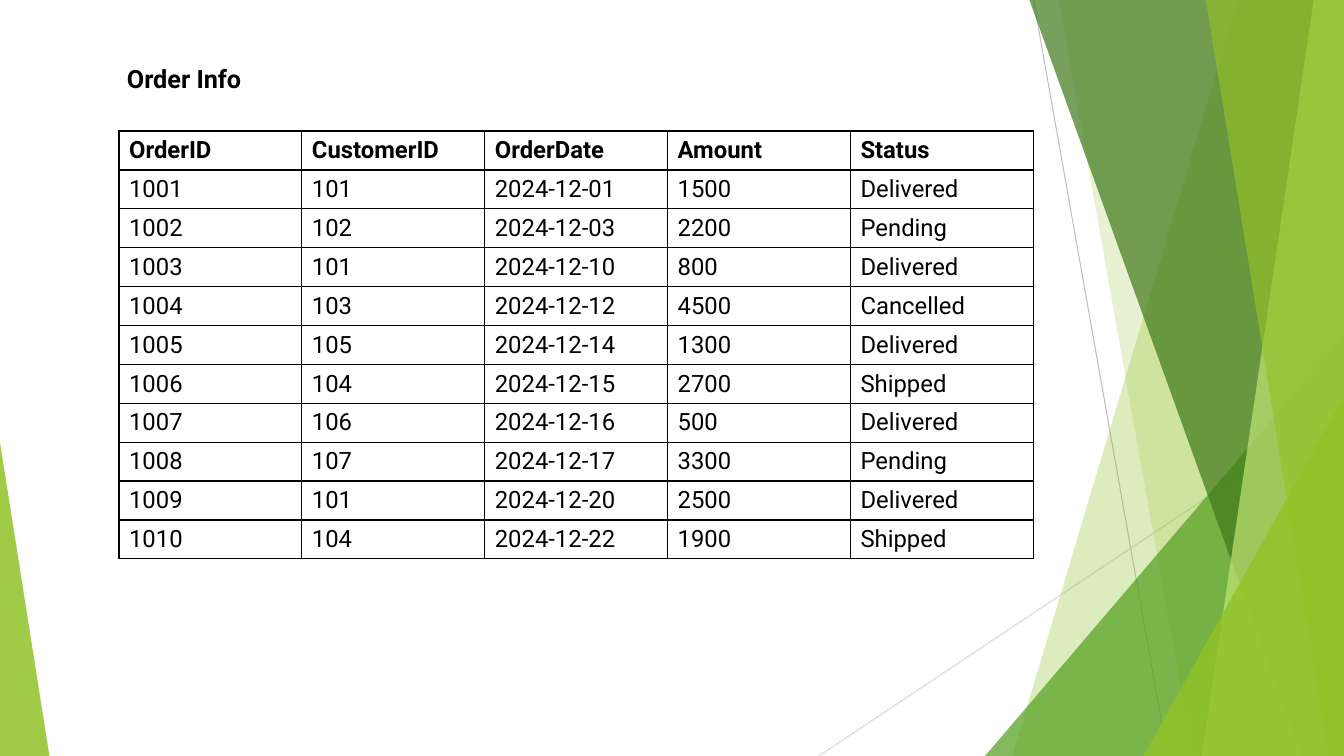
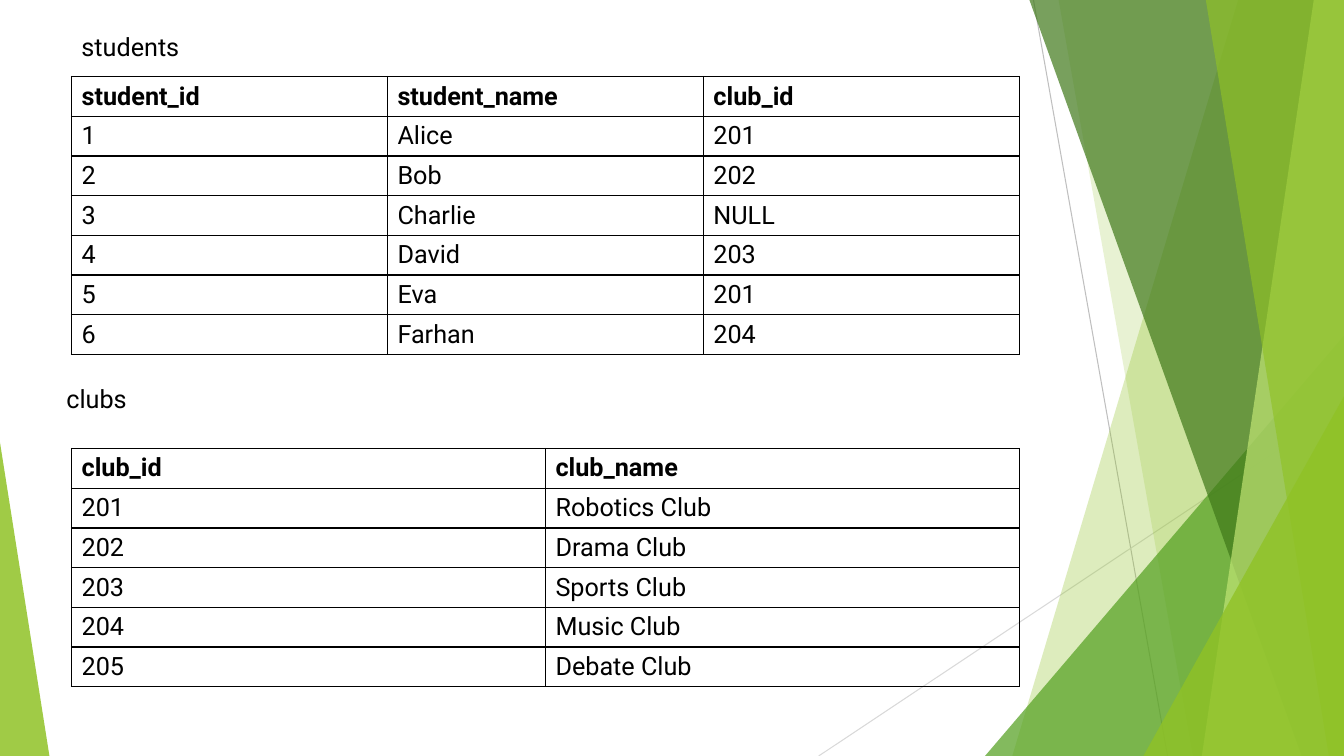
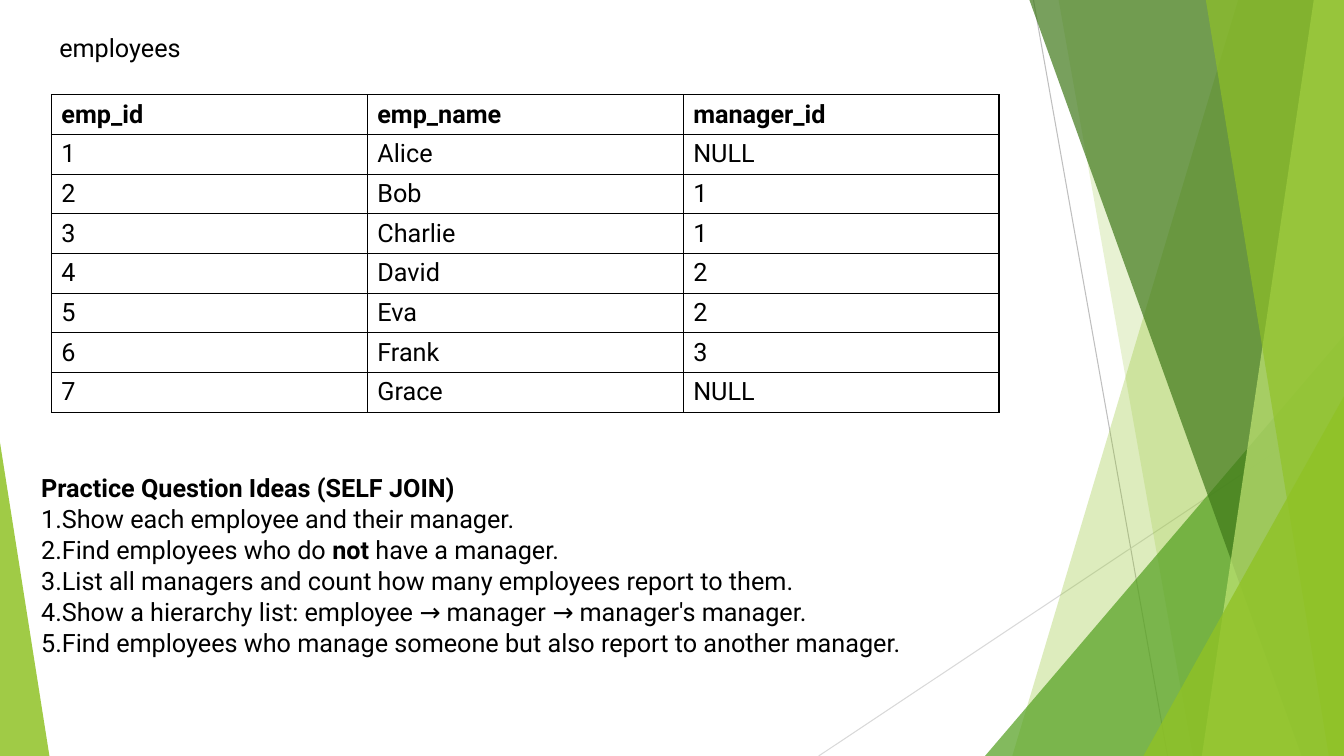
"""Build three slides of SQL practice tables on a shared green facet background."""
from dataclasses import dataclass

from lxml.etree import SubElement
from pptx import Presentation
from pptx.dml.color import RGBColor
from pptx.enum.shapes import MSO_CONNECTOR as Connector, MSO_SHAPE as Preset
from pptx.enum.text import MSO_ANCHOR as Anchor
from pptx.oxml.ns import qn
from pptx.slide import Slide
from pptx.util import Inches, Pt

WIDTH, HEIGHT = 13.33, 7.5
BLACK = RGBColor(0x00, 0x00, 0x00)
LIME = RGBColor(0x90, 0xC2, 0x26)
PALE_LIME = RGBColor(0xC0, 0xE4, 0x74)
GREEN = RGBColor(0x54, 0xA0, 0x21)
DARK_GREEN = RGBColor(0x3F, 0x78, 0x19)
GREY = RGBColor(0xBF, 0xBF, 0xBF)
LIGHT_GREY = RGBColor(0xD9, 0xD9, 0xD9)
TEXT_FORMAT = {"name": "Roboto", "size": Pt(18), "bold": False}

Span = tuple[str, bool]


@dataclass(frozen=True)
class Ray:
    start: tuple[float, float]
    end: tuple[float, float]
    color: RGBColor


@dataclass(frozen=True)
class Band:
    """Full-height facet running to the right edge, with a slanted left side."""
    top_left: float
    bottom_left: float
    color: RGBColor
    opacity: int


@dataclass(frozen=True)
class Wedge:
    """Triangle standing on the bottom edge, its apex at the left (0) or right (1)."""
    left: float
    top: float
    width: float
    apex: int
    color: RGBColor
    opacity: int


@dataclass(frozen=True)
class Label:
    left: float
    top: float
    width: float
    text: str
    bold: bool = False


@dataclass(frozen=True)
class Grid:
    left: float
    top: float
    width: float
    rows: list[tuple[str, ...]]
    row_height: float = 0.39
    size: int = 18


@dataclass(frozen=True)
class Page:
    grids: list[Grid]
    labels: list[Label]


RAYS = [
    Ray((10.25, 0), (11.58, HEIGHT), GREY),
    Ray((WIDTH, 4.03), (8.12, HEIGHT), LIGHT_GREY),
]
FACETS = [
    Band(12.28, 10.04, LIME, 30),
    Band(10.5, 11.83, LIME, 20),
    Wedge(9.77, 3.33, 3.56, 1, GREEN, 72),
    Band(10.21, 12.91, DARK_GREEN, 70),
    Band(13.03, 11.92, PALE_LIME, 70),
    Band(11.96, 13.18, LIME, 65),
    Wedge(11.34, 3.93, 1.99, 1, LIME, 80),
    Wedge(0, 4.39, 0.49, 0, LIME, 85),
]

ORDERS = [
    ("OrderID", "CustomerID", "OrderDate", "Amount", "Status"),
    ("1001", "101", "2024-12-01", "1500", "Delivered"),
    ("1002", "102", "2024-12-03", "2200", "Pending"),
    ("1003", "101", "2024-12-10", "800", "Delivered"),
    ("1004", "103", "2024-12-12", "4500", "Cancelled"),
    ("1005", "105", "2024-12-14", "1300", "Delivered"),
    ("1006", "104", "2024-12-15", "2700", "Shipped"),
    ("1007", "106", "2024-12-16", "500", "Delivered"),
    ("1008", "107", "2024-12-17", "3300", "Pending"),
    ("1009", "101", "2024-12-20", "2500", "Delivered"),
    ("1010", "104", "2024-12-22", "1900", "Shipped"),
]
STUDENTS = [
    ("student_id", "student_name", "club_id"),
    ("1", "Alice", "201"),
    ("2", "Bob", "202"),
    ("3", "Charlie", "NULL"),
    ("4", "David", "203"),
    ("5", "Eva", "201"),
    ("6", "Farhan", "204"),
]
CLUBS = [
    ("club_id", "club_name"),
    ("201", "Robotics Club"),
    ("202", "Drama Club"),
    ("203", "Sports Club"),
    ("204", "Music Club"),
    ("205", "Debate Club"),
]
EMPLOYEES = [
    ("emp_id", "emp_name", "manager_id"),
    ("1", "Alice", "NULL"),
    ("2", "Bob", "1"),
    ("3", "Charlie", "1"),
    ("4", "David", "2"),
    ("5", "Eva", "2"),
    ("6", "Frank", "3"),
    ("7", "Grace", "NULL"),
]
QUESTIONS: list[list[Span]] = [
    [("Show each employee and their manager.", False)],
    [("Find employees who do ", False), ("not", True), (" have a manager.", False)],
    [("List all managers and count how many employees report to them.", False)],
    [("Show a hierarchy list: employee → manager → manager's manager.", False)],
    [("Find employees who manage someone but also report to another manager.", False)],
]
PAGES = [
    Page([Grid(1.18, 1.3, 9.07, ORDERS, 0.386, 17)],
         [Label(1.16, 0.58, 3.61, "Order Info", True)]),
    Page([Grid(0.71, 0.76, 9.4, STUDENTS), Grid(0.71, 4.45, 9.4, CLUBS)],
         [Label(0.56, 3.75, 3.02, "clubs"), Label(0.71, 0.26, 2.63, "students")]),
    Page([Grid(0.51, 0.94, 9.4, EMPLOYEES)],
         [Label(0.49, 0.27, 2.94, "employees")]),
]


def write(para, text: str, **changes) -> None:
    """Add a run in the deck's text format, with any changes to it."""
    span = para.add_run()
    span.text = text
    for name, value in (TEXT_FORMAT | changes).items():
        setattr(span.font, name, value)
    span.font.color.rgb = BLACK


def add_ray(slide: Slide, ray: Ray) -> None:
    """Draw a thin background line."""
    points = [Inches(value) for value in ray.start + ray.end]
    line = slide.shapes.add_connector(Connector.STRAIGHT, *points)
    line.line.color.rgb = ray.color
    line.line.width = Pt(0.75)
    SubElement(line._element.spPr, qn("a:effectLst"))


def add_facet(slide: Slide, facet: Band | Wedge) -> None:
    """Draw one translucent background facet."""
    if isinstance(facet, Band):
        builder = slide.shapes.build_freeform(Inches(facet.top_left), 0)
        corners = [(WIDTH, 0), (WIDTH, HEIGHT), (facet.bottom_left, HEIGHT)]
        builder.add_line_segments([(Inches(x), Inches(y)) for x, y in corners])
        shape = builder.convert_to_shape()
    else:
        shape = slide.shapes.add_shape(
            Preset.ISOSCELES_TRIANGLE, Inches(facet.left), Inches(facet.top),
            Inches(facet.width), Inches(HEIGHT - facet.top))
        shape.adjustments[0] = facet.apex
    shape.shadow.inherit = False
    shape.line.fill.background()
    shape.fill.solid()
    shape.fill.fore_color.rgb = facet.color
    color = shape._element.spPr.find(qn("a:solidFill"))[0]
    SubElement(color, qn("a:alpha"), val=str(facet.opacity * 1000))


def add_borders(cell) -> None:
    """Rule all four sides of a cell in black."""
    properties = cell._tc.get_or_add_tcPr()
    for side in ("lnL", "lnR", "lnT", "lnB"):
        line = SubElement(properties, qn(f"a:{side}"), w=str(Pt(1)))
        fill = SubElement(line, qn("a:solidFill"))
        SubElement(fill, qn("a:srgbClr"), val=str(BLACK))


def add_grid(slide: Slide, grid: Grid) -> None:
    """Draw a ruled table with a bold header row."""
    count = len(grid.rows)
    table = slide.shapes.add_table(
        count, len(grid.rows[0]), Inches(grid.left), Inches(grid.top),
        Inches(grid.width), Inches(grid.row_height * count)).table
    table.first_row = table.horz_banding = False
    for row, texts in enumerate(grid.rows):
        for column, text in enumerate(texts):
            cell = table.cell(row, column)
            cell.vertical_anchor = Anchor.MIDDLE
            add_borders(cell)
            cell.fill.background()
            write(cell.text_frame.paragraphs[0], text, size=Pt(grid.size), bold=row == 0)


def add_label(slide: Slide, label: Label, height: float = 0.4):
    """Add a one-line text box and return its text frame."""
    box = slide.shapes.add_textbox(
        Inches(label.left), Inches(label.top), Inches(label.width), Inches(height))
    frame = box.text_frame
    frame.word_wrap = True
    write(frame.paragraphs[0], label.text, bold=label.bold)
    return frame


def add_questions(slide: Slide) -> None:
    """Add the numbered practice questions under their heading."""
    heading = Label(0.31, 4.64, 10.42, "Practice Question Ideas (SELF JOIN)", True)
    frame = add_label(slide, heading, 1.92)
    for question in QUESTIONS:
        para = frame.add_paragraph()
        para.space_before = Pt(0.5)
        properties = para._p.get_or_add_pPr()
        properties.set("marL", "0")
        properties.set("indent", "0")
        SubElement(properties, qn("a:buFont"), typeface=TEXT_FORMAT["name"])
        SubElement(properties, qn("a:buAutoNum"), type="arabicPeriod")
        for text, bold in question:
            write(para, text, bold=bold)


def main() -> None:
    """Build and save the deck."""
    deck = Presentation()
    deck.slide_width, deck.slide_height = Inches(WIDTH), Inches(HEIGHT)
    for page in PAGES:
        slide = deck.slides.add_slide(deck.slide_layouts[6])
        for ray in RAYS:
            add_ray(slide, ray)
        for facet in FACETS:
            add_facet(slide, facet)
        for grid in page.grids:
            add_grid(slide, grid)
        for label in page.labels:
            add_label(slide, label)
    add_questions(slide)
    deck.save("out.pptx")


if __name__ == "__main__":
    main()
